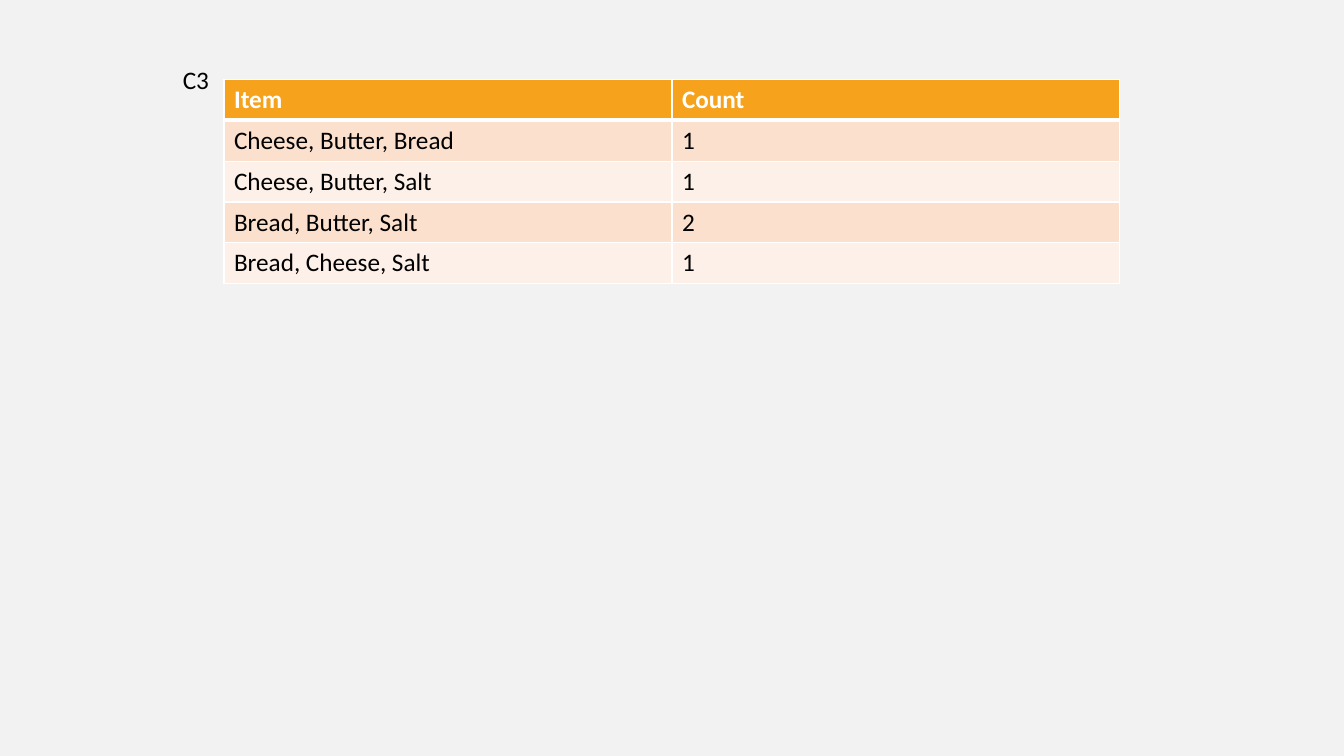
from dataclasses import dataclass

from lxml.etree import SubElement
from pptx import Presentation
from pptx.dml.color import RGBColor as Color
from pptx.enum.text import MSO_AUTO_SIZE as AutoSize
from pptx.oxml.ns import qn
from pptx.util import Pt


@dataclass(frozen=True)
class Theme:
    font: str = "Calibri"
    size: int = 18
    background: str = "F2F2F2"
    text: str = "000000"
    header_text: str = "FFFFFF"
    header_fill: str = "F6A21D"
    bands: tuple = ("FBE0CD", "FDF0E8")
    border: str = "FFFFFF"
    thin: int = 1
    thick: int = 3


THEME = Theme()

ITEM_COUNTS = [
    ("Item", "Count"),
    ("Cheese, Butter, Bread", "1"),
    ("Cheese, Butter, Salt", "1"),
    ("Bread, Butter, Salt", "2"),
    ("Bread, Cheese, Salt", "1"),
]


def write(frame, text, color, bold=False):
    para = frame.paragraphs[0]
    para.text = text
    font = para.font
    font.name = THEME.font
    font.size = Pt(THEME.size)
    font.bold = bold
    font.color.rgb = Color.from_string(color)


def set_borders(cell, top, bottom):
    properties = cell._tc.get_or_add_tcPr()
    widths = {"lnL": THEME.thin, "lnR": THEME.thin, "lnT": top, "lnB": bottom}
    for side, width in widths.items():
        line = SubElement(properties, qn(f"a:{side}"), w=str(Pt(width)))
        fill = SubElement(line, qn("a:solidFill"))
        SubElement(fill, qn("a:srgbClr"), val=THEME.border)


def style_cell(cell, text, row):
    header = row == 0
    set_borders(
        cell,
        top=THEME.thick if row == 1 else THEME.thin,
        bottom=THEME.thick if header else THEME.thin,
    )
    fill = THEME.header_fill if header else THEME.bands[(row - 1) % 2]
    cell.fill.solid()
    cell.fill.fore_color.rgb = Color.from_string(fill)
    write(cell.text_frame, text, THEME.header_text if header else THEME.text, header)


def add_table(page, rows, left, top, column_width, row_height):
    columns = len(rows[0])
    table = page.shapes.add_table(
        len(rows), columns, Pt(left), Pt(top),
        Pt(column_width * columns), Pt(row_height * len(rows)),
    ).table
    for column in table.columns:
        column.width = Pt(column_width)
    for row, texts in enumerate(rows):
        table.rows[row].height = Pt(row_height)
        for column, text in enumerate(texts):
            style_cell(table.cell(row, column), text, row)


def add_label(page, text, left, top, width, height):
    box = page.shapes.add_textbox(Pt(left), Pt(top), Pt(width), Pt(height))
    frame = box.text_frame
    frame.word_wrap = False
    frame.auto_size = AutoSize.SHAPE_TO_FIT_TEXT
    write(frame, text, THEME.text)


def main():
    deck = Presentation()
    deck.slide_width, deck.slide_height = Pt(960), Pt(540)
    page = deck.slides.add_slide(deck.slide_layouts[6])
    page.background.fill.solid()
    page.background.fill.fore_color.rgb = Color.from_string(THEME.background)
    add_table(page, ITEM_COUNTS, left=160, top=56.7, column_width=320, row_height=29.2)
    add_label(page, "C3", left=123.5, top=42.5, width=36.5, height=29)
    deck.save("out.pptx")


if __name__ == "__main__":
    main()
